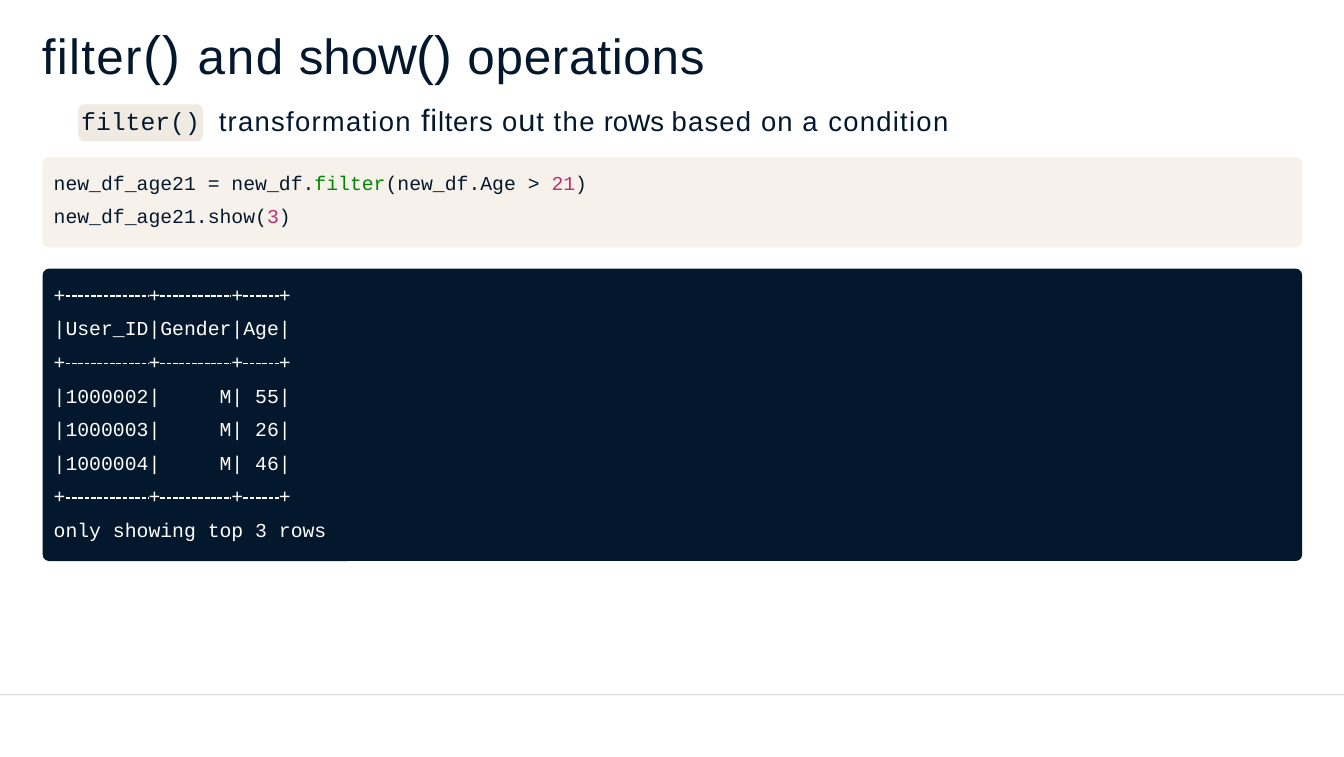
from pptx import Presentation
from pptx.dml.color import RGBColor
from pptx.enum.dml import MSO_LINE
from pptx.enum.shapes import MSO_SHAPE
from pptx.enum.text import MSO_ANCHOR, MSO_AUTO_SIZE, PP_ALIGN
from pptx.oxml.ns import qn
from pptx.util import Inches, Pt
from lxml.etree import SubElement

NAVY, CREAM, CHIP, RULE = "04182D", "F6F2EB", "EFEBE3", "E4E1D9"
GREEN, PINK, WHITE = "008600", "BE2F72", "FFFFFF"
MONO = "Courier New"

# Monospaced grid: one character wide, one line high
LEFT, COL, ROW = 0.68, 0.15, 0.425
PANEL_X, PANEL_W = 0.54, 15.94


def rgb(color):
    return RGBColor.from_string(color)


def setup(sp, x, y, w, h):
    """Place a text shape and give its frame plain margins."""
    sp.left, sp.top, sp.width, sp.height = map(Inches, (x, y, w, h))
    tf = sp.text_frame
    tf.word_wrap, tf.auto_size = True, MSO_AUTO_SIZE.NONE
    tf.vertical_anchor = MSO_ANCHOR.TOP
    tf.margin_left = tf.margin_right = tf.margin_top = tf.margin_bottom = 0
    return tf


prs = Presentation()
prs.slide_width, prs.slide_height = Inches(17.01), Inches(9.58)
s = prs.slides.add_slide(prs.slide_layouts[1])

# Filled areas: footer rule, code panel, console panel, chip
for x, y, w, h, color in [
    (0, 8.78, 17.01, 0.02, RULE),
    (PANEL_X, 1.99, PANEL_W, 1.14, CREAM),
    (PANEL_X, 3.4, PANEL_W, 3.7, NAVY),
    (0.99, 1.32, 1.58, 0.47, CHIP),
]:
    kind = MSO_SHAPE.RECTANGLE if color == RULE else MSO_SHAPE.ROUNDED_RECTANGLE
    sp = s.shapes.add_shape(kind, *map(Inches, (x, y, w, h)))
    if color != RULE:
        sp.adjustments[0] = 0.08 / h
    sp.shadow.inherit = False
    sp.fill.solid()
    sp.fill.fore_color.rgb = rgb(color)
    sp.line.fill.background()

# Chip label
tf = setup(sp, 0.99, 1.32, 1.58, 0.47)
tf.vertical_anchor = MSO_ANCHOR.MIDDLE
tf.margin_bottom = Inches(0.05)
p = tf.paragraphs[0]
p.text, p.alignment = "filter()", PP_ALIGN.CENTER
p.font.name, p.font.size, p.font.color.rgb = MONO, Pt(22.5), rgb(NAVY)

# Title and sentence: runs of text, size, letter spacing
title = [("filter", 45, 1.2), ("() ", 49, 1.2), ("and", 45, 1.6),
         (" sho", 45, -0.1), ("w() ", 49, -0.1), ("operations", 45, 0.7)]
sentence = [("transformation ", 25, 1.2), ("fi", 28, 0.7), ("lters ", 25, 0.7),
            ("o", 25, 0.9), ("u", 28, 0.9), ("t ", 25, 0.9), ("the", 25, 1.4),
            (" ro", 25, 0), ("w", 28, 0), ("s ", 25, 0), ("based ", 25, 1.1),
            ("on ", 25, 0.9), ("a", 25, 1.8), (" condition", 25, 1.2)]
for sp, box, runs in [
    (s.shapes.title, (0.53, 0.26, 15.25, 0.85), title),
    (s.placeholders[1], (2.77, 1.27, 9.36, 0.5), sentence),
]:
    p = setup(sp, *box).paragraphs[0]
    p.alignment, p.space_before = PP_ALIGN.LEFT, Pt(0)
    p.font.name, p.font.color.rgb = "Arial", rgb(NAVY)
    pPr = p._p.get_or_add_pPr()
    pPr.set("marL", "0")
    pPr.set("indent", "0")
    pPr.insert_element_before(pPr.makeelement(qn("a:buNone")), "a:tabLst", "a:defRPr")
    for text, size, spacing in runs:
        r = p.add_run()
        r.text, r.font.size = text, Pt(size)
        r._r.get_or_add_rPr().set("spc", str(round(spacing * 100)))

# Code and console lines: runs of text and colour, plus tab columns
PLUS = [8, 15, 19]
border = ([("+\t+\t+\t+", WHITE)], PLUS)
records = [("1000002", 55), ("1000003", 26), ("1000004", 46)]
code = [
    ([("new_df_age21 = new_df.", NAVY), ("filter", GREEN),
      ("(new_df.Age > ", NAVY), ("21", PINK), (")", NAVY)], []),
    ([("new_df_age21.show(", NAVY), ("3", PINK), (")", NAVY)], []),
]
console = [
    border,
    ([("|User_ID|Gender|Age|", WHITE)], []),
    border,
    *[([(f"|{user}|\tM| {age}|", WHITE)], [14]) for user, age in records],
    border,
    ([("only showing top 3 rows", WHITE)], []),
]
for y, lines in [(2.03, code), (3.45, console)]:
    sp = s.shapes.add_textbox(0, 0, 0, 0)
    tf = setup(sp, LEFT, y, 8, ROW * len(lines))
    for i, (runs, tabs) in enumerate(lines):
        p = tf.add_paragraph() if i else tf.paragraphs[0]
        p.line_spacing = Pt(ROW * 72)
        p.font.name, p.font.size = MONO, Pt(18)
        if tabs:
            pPr = p._p.get_or_add_pPr()
            tab_list = pPr.makeelement(qn("a:tabLst"))
            pPr.insert_element_before(tab_list, "a:defRPr")
            for col in tabs:
                SubElement(tab_list, qn("a:tab"), pos=str(Inches(col * COL)), algn="l")
        for text, color in runs:
            r = p.add_run()
            r.text, r.font.color.rgb = text, rgb(color)

# Dashes between the plus signs, one outline per border line
for row, line in enumerate(console):
    if line is not border:
        continue
    y = Inches(3.75 + row * ROW)
    fb = s.shapes.build_freeform(Inches(LEFT + COL), y)
    for start, end in zip([0] + PLUS, PLUS):
        if start:
            fb.move_to(Inches(LEFT + (start + 1) * COL), y)
        fb.add_line_segments([(Inches(LEFT + end * COL), y)], close=False)
    sp = fb.convert_to_shape()
    sp.shadow.inherit = False
    sp.fill.background()
    sp.line.color.rgb, sp.line.width = rgb("FEFEFE"), Pt(1.44)
    sp.line.dash_style = MSO_LINE.SQUARE_DOT

prs.save("out.pptx")
